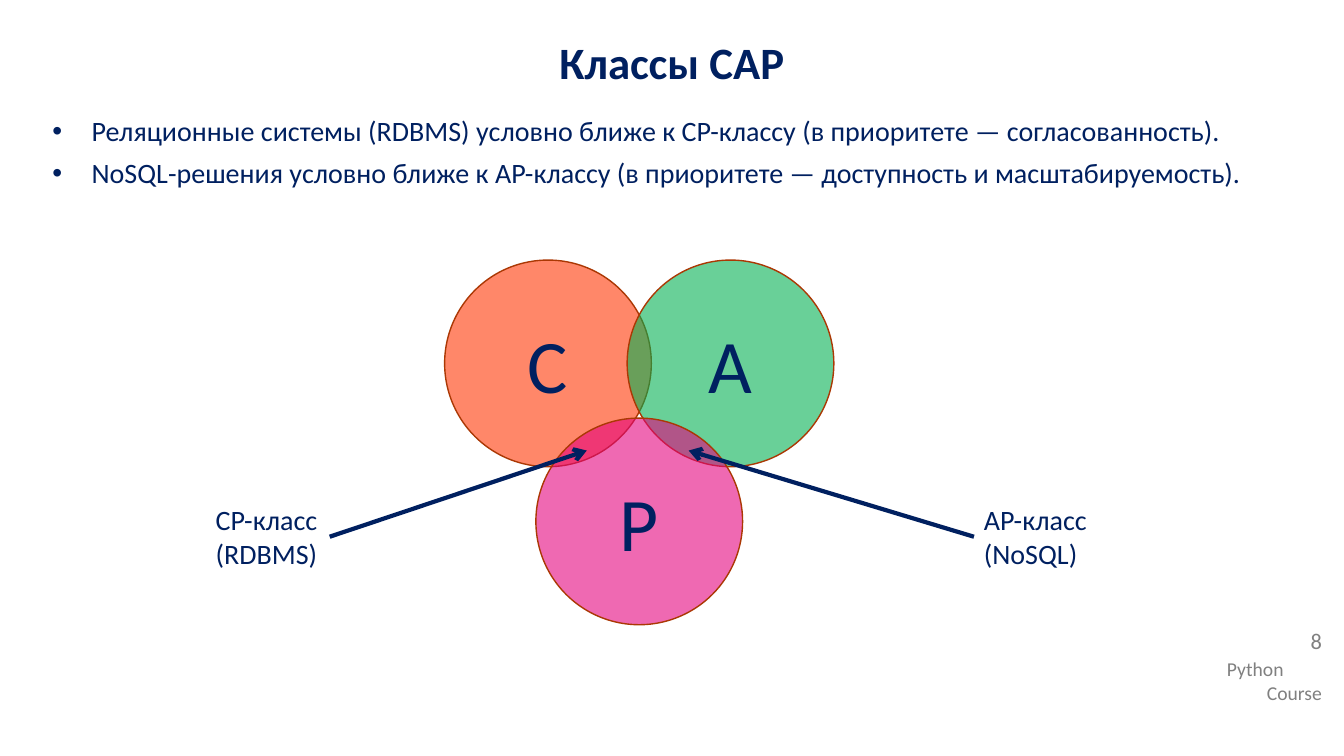
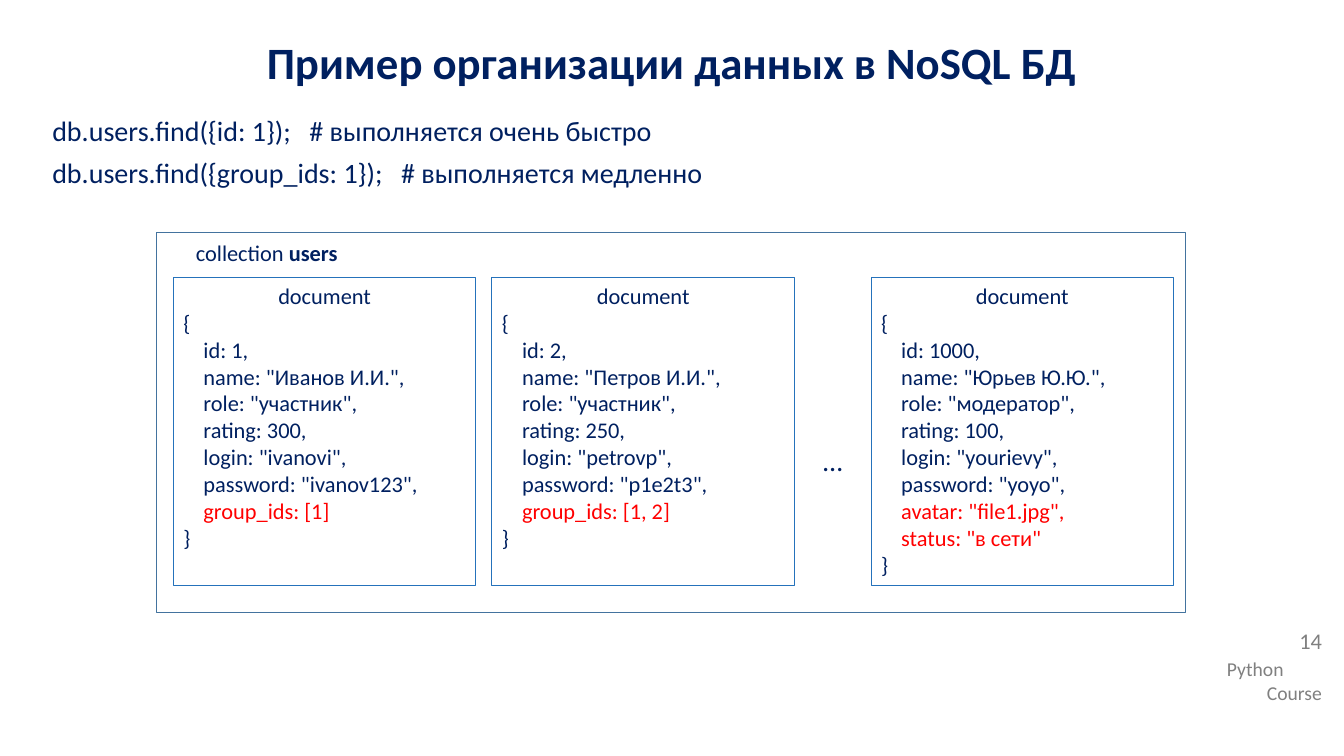
from dataclasses import dataclass
from math import sqrt
from lxml.etree import SubElement
from pptx import Presentation
from pptx.dml.color import RGBColor
from pptx.enum.shapes import MSO_CONNECTOR, MSO_SHAPE
from pptx.enum.text import MSO_ANCHOR, PP_ALIGN
from pptx.oxml.ns import qn
from pptx.util import Inches, Pt


@dataclass(frozen=True)
class Theme:
    """Colours, font and type sizes of the deck."""
    font: str = "Calibri"
    ink: RGBColor = RGBColor(0x00, 0x20, 0x60)
    muted: RGBColor = RGBColor(0x80, 0x80, 0x80)
    accent: RGBColor = RGBColor(0xFF, 0x00, 0x00)
    paper: RGBColor = RGBColor(0xFF, 0xFF, 0xFF)
    consistency: RGBColor = RGBColor(0xFF, 0x33, 0x00)
    availability: RGBColor = RGBColor(0x00, 0xB0, 0x50)
    partition: RGBColor = RGBColor(0xE5, 0x00, 0x7D)
    circle_edge: RGBColor = RGBColor(0xAB, 0x38, 0x04)
    collection_edge: RGBColor = RGBColor(0x43, 0x73, 0x9E)
    document_edge: RGBColor = RGBColor(0x25, 0x72, 0xBB)
    title_size: int = 32
    body_size: int = 20
    code_size: int = 16
    footer_size: int = 14
    letter_size: int = 54
    circle_opacity: int = 59


@dataclass(frozen=True)
class Box:
    """A rectangle in inches."""
    left: float
    top: float
    width: float
    height: float

    def inside(self, left, top, width, height):
        """Return a box offset from this one."""
        return Box(self.left + left, self.top + top, width, height)

    def lengths(self):
        """Return the four lengths for python-pptx."""
        return [Inches(v) for v in (self.left, self.top, self.width, self.height)]


@dataclass(frozen=True)
class Line:
    """One paragraph: (text, bold) runs and its format."""
    runs: tuple
    size: int
    color: RGBColor
    align: PP_ALIGN = PP_ALIGN.LEFT
    before: int = 0
    after: int = 0
    spacing: float = 1.0
    indent: float = 0
    bullet: str = ""
    tab: float = 0


THEME = Theme()
SLIDE = Box(0, 0, 13.33, 7.5)
TITLE = Box(0, 0.23, 13.33, 0.76)
BODY = Box(0.42, 1.08, 12.49, 1)
FOOTER = Box(12.07, 6.2, 1.14, 0.84)


def line(text, size=THEME.body_size, color=THEME.ink, bold=False, **layout):
    """Make a paragraph of one run."""
    return Line(((text, bold),), size, color, **layout)


def format_paragraph(paragraph, content):
    """Apply spacing, indent, bullet and tab stop."""
    paragraph.alignment = content.align
    paragraph.space_before = Pt(content.before)
    paragraph.space_after = Pt(content.after)
    paragraph.line_spacing = content.spacing
    props = paragraph._p.get_or_add_pPr()
    props.set("marL", str(Inches(content.indent)))
    if content.bullet:
        props.set("indent", str(-Inches(content.indent)))
        SubElement(props, qn("a:buFont"), typeface="Arial")
        SubElement(props, qn("a:buChar"), char=content.bullet)
    if content.tab:
        stops = SubElement(props, qn("a:tabLst"))
        SubElement(stops, qn("a:tab"), pos=str(Inches(content.tab)), algn="l")


def write(frame, lines, anchor=MSO_ANCHOR.TOP, wrap=True):
    """Fill a text frame run by run."""
    frame.word_wrap = wrap
    frame.vertical_anchor = anchor
    for index, content in enumerate(lines):
        paragraph = frame.add_paragraph() if index else frame.paragraphs[0]
        format_paragraph(paragraph, content)
        for text, bold in content.runs:
            run = paragraph.add_run()
            run.text = text
            run.font.name = THEME.font
            run.font.size = Pt(content.size)
            run.font.bold = bold
            run.font.color.rgb = content.color


def add_text(slide, box, lines, **layout):
    """Place a text box."""
    write(slide.shapes.add_textbox(*box.lengths()).text_frame, lines, **layout)


def add_outlined(slide, preset, box, edge, weight, fill):
    """Place a filled preset shape with an outline."""
    shape = slide.shapes.add_shape(preset, *box.lengths())
    shape.shadow.inherit = False
    shape.fill.solid()
    shape.fill.fore_color.rgb = fill
    shape.line.color.rgb = edge
    shape.line.width = Pt(weight)
    return shape


def add_arrow(slide, start, end):
    """Draw a thick arrow between two points."""
    arrow = slide.shapes.add_connector(
        MSO_CONNECTOR.STRAIGHT, *(Inches(v) for v in (*start, *end)))
    arrow.line.color.rgb = THEME.ink
    arrow.line.width = Pt(3)
    SubElement(arrow.get_or_add_ln(), qn("a:tailEnd"), type="arrow")
    SubElement(arrow._element.spPr, qn("a:effectLst"))


def add_footer(slide, box, number):
    """Place the page number above the course name."""
    add_text(slide, box.inside(0, 0.27, box.width, 0.57), [
        line("Python", THEME.footer_size, THEME.muted),
        line("Course", THEME.footer_size, THEME.muted, align=PP_ALIGN.RIGHT)])
    add_text(slide, box.inside(0, 0, box.width, 0.45), [
        line(str(number), THEME.code_size, THEME.muted,
             align=PP_ALIGN.RIGHT, before=10, spacing=0.9)])


def add_page(deck, title, number, body):
    """Add a slide with the shared title, body and footer."""
    slide = deck.slides.add_slide(deck.slide_layouts[6])
    add_footer(slide, FOOTER, number)
    heading = line(title, THEME.title_size, bold=True,
                   align=PP_ALIGN.CENTER, before=5, after=5)
    add_text(slide, TITLE, [heading], anchor=MSO_ANCHOR.MIDDLE)
    add_text(slide, BODY, body)
    return slide


def add_circle(slide, box, letter, fill):
    """Place a translucent lettered circle."""
    circle = add_outlined(slide, MSO_SHAPE.OVAL, box, THEME.circle_edge, 1, fill)
    color = circle._element.spPr.find(f"{qn('a:solidFill')}/{qn('a:srgbClr')}")
    SubElement(color, qn("a:alpha"), val=str(THEME.circle_opacity * 1000))
    write(circle.text_frame,
          [line(letter, THEME.letter_size, align=PP_ALIGN.CENTER)],
          anchor=MSO_ANCHOR.MIDDLE)


def add_venn(slide, box):
    """Draw three overlapping circles in an equilateral layout."""
    diameter = 2.05
    step = box.width - diameter
    circles = (("C", THEME.consistency, 0, 0),
               ("A", THEME.availability, step, 0),
               ("P", THEME.partition, step / 2, step * sqrt(3) / 2))
    for letter, fill, left, top in circles:
        add_circle(slide, box.inside(left, top, diameter, diameter), letter, fill)


def add_callout(slide, box, lines, side, tip):
    """Place a class label with an arrow from its given side (0 left, 1 right)."""
    add_text(slide, box, [line(text) for text in lines], wrap=False)
    start = (box.left + side * box.width, box.top + box.height / 2)
    add_arrow(slide, start, tip)


def add_document(slide, box, fields, special):
    """Place one document with its special fields highlighted."""
    card = add_outlined(slide, MSO_SHAPE.RECTANGLE, box,
                        THEME.document_edge, 0.75, THEME.paper)
    size = THEME.code_size
    write(card.text_frame, [
        line("document", size, align=PP_ALIGN.CENTER),
        line("{", size),
        *(line(field, size, indent=0.2) for field in fields),
        *(line(field, size, THEME.accent, indent=0.2) for field in special),
        line("}", size)])


def add_collection(slide, box, name, documents):
    """Draw a collection: first documents from the left, the last at the right."""
    add_outlined(slide, MSO_SHAPE.RECTANGLE, box,
                 THEME.collection_edge, 1, THEME.paper)
    label = Line((("collection ", False), (name, True)), THEME.code_size,
                 THEME.ink, align=PP_ALIGN.CENTER)
    add_text(slide, box.inside(0, 0.01, 2.19, 0.37), [label])
    width, gap = 3, 0.16
    lefts = [0.17 + i * (width + gap) for i in range(len(documents) - 1)]
    lefts.append(box.width - 0.12 - width)
    for left, (fields, special) in zip(lefts, documents):
        add_document(slide, box.inside(left, 0.44, width, 3.06), fields, special)
    skip_left = lefts[-2] + width
    add_text(slide, box.inside(skip_left, 2.04, lefts[-1] - skip_left, 0.44),
             [line("…", align=PP_ALIGN.CENTER)])


def user_fields(number, name, role, rating, login, password):
    """List the fields that every user document has."""
    return (f"id: {number},", f'name: "{name}",', f'role: "{role}",',
            f"rating: {rating},", f'login: "{login}",', f'password: "{password}",')


def build_cap_slide(deck):
    """Build the slide on CAP classes."""
    statements = (
        "Реляционные системы (RDBMS) условно ближе к CP-классу "
        "(в приоритете — согласованность).",
        "NoSQL-решения условно ближе к AP-классу "
        "(в приоритете — доступность и масштабируемость).")
    slide = add_page(deck, "Классы CAP", 8, [
        line(text, align=PP_ALIGN.JUSTIFY, after=6, indent=0.39, bullet="•")
        for text in statements])
    add_venn(slide, Box(4.41, 2.58, 3.86, 3.62))
    add_callout(slide, Box(2.04, 4.94, 1.23, 0.77),
                ("CP-класс", "(RDBMS)"), 1, (5.82, 4.47))
    add_callout(slide, Box(9.66, 4.94, 1.24, 0.77),
                ("AP-класс", "(NoSQL)"), 0, (6.83, 4.47))


def build_data_slide(deck):
    """Build the slide on data in a NoSQL store."""
    queries = (("db.users.find({id: 1});\t# выполняется очень быстро", 2.55),
               ("db.users.find({group_ids: 1});\t# выполняется медленно", 3.46))
    slide = add_page(deck, "Пример организации данных в NoSQL БД", 14, [
        line(text, after=6, tab=tab) for text, tab in queries])
    documents = (
        (user_fields(1, "Иванов И.И.", "участник", 300, "ivanovi", "ivanov123"),
         ("group_ids: [1]",)),
        (user_fields(2, "Петров И.И.", "участник", 250, "petrovp", "p1e2t3"),
         ("group_ids: [1, 2]",)),
        (user_fields(1000, "Юрьев Ю.Ю.", "модератор", 100, "yourievy", "yoyo"),
         ('avatar: "file1.jpg",', 'status: "в сети"')))
    add_collection(slide, Box(1.55, 2.31, 10.21, 3.77), "users", documents)


def main():
    """Build and save the deck."""
    deck = Presentation()
    deck.slide_width = Inches(SLIDE.width)
    deck.slide_height = Inches(SLIDE.height)
    build_cap_slide(deck)
    build_data_slide(deck)
    deck.save("out.pptx")


if __name__ == "__main__":
    main()
